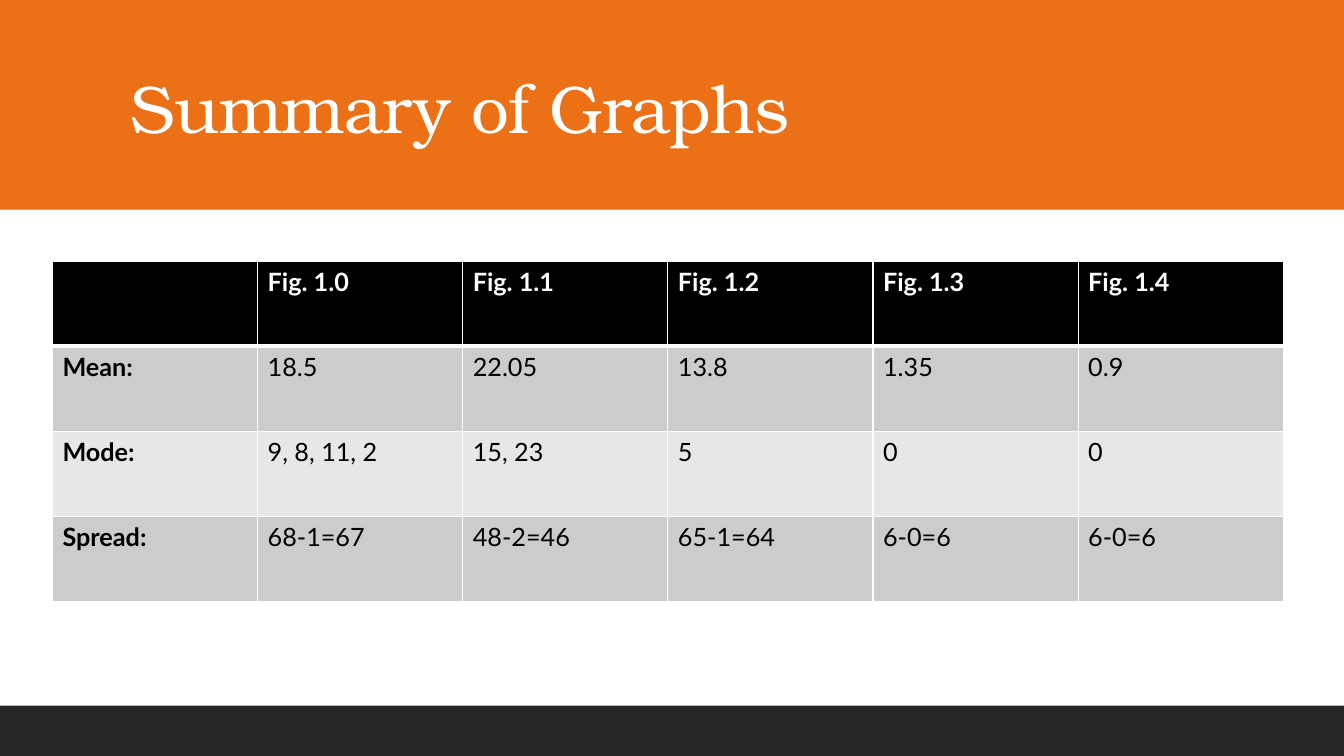
"""Build the Summary of Graphs slide with its table of statistics."""
import pptx
import pptx.dml.color
import pptx.enum.shapes
import pptx.enum.text
import pptx.oxml
import pptx.oxml.ns
import pptx.util

Inches = pptx.util.Inches
Pt = pptx.util.Pt
RGBColor = pptx.dml.color.RGBColor

TITLE = "Summary of Graphs"
ROWS = [
    ("", "Fig. 1.0", "Fig. 1.1", "Fig. 1.2", "Fig. 1.3", "Fig. 1.4"),
    ("Mean:", "18.5", "22.05", "13.8", "1.35", "0.9"),
    ("Mode:", "9, 8, 11, 2", "15, 23", "5", "0", "0"),
    ("Spread:", "68-1=67", "48-2=46", "65-1=64", "6-0=6", "6-0=6"),
]

WHITE = RGBColor(0xFF, 0xFF, 0xFF)
BLACK = RGBColor(0x00, 0x00, 0x00)
ORANGE = RGBColor(0xEC, 0x70, 0x16)
CHARCOAL = RGBColor(0x26, 0x26, 0x26)
BAND_DARK = RGBColor(0xCC, 0xCC, 0xCC)
BAND_LIGHT = RGBColor(0xE7, 0xE7, 0xE7)

TITLE_FONT = "TeX Gyre Bonum"
TABLE_FONT = "Lato"
SLIDE_WIDTH, SLIDE_HEIGHT = 13.33, 7.5
BANDS = [(0, 2.08, ORANGE), (7, 0.5, CHARCOAL)]
TABLE_LEFT, TABLE_TOP, TABLE_WIDTH, TABLE_HEIGHT = 0.52, 2.59, 12.21, 3.38


def add_band(slide, top, height, color):
    shape = slide.shapes.add_shape(
        pptx.enum.shapes.MSO_SHAPE.RECTANGLE,
        0, Inches(top), Inches(SLIDE_WIDTH), Inches(height))
    shape.shadow.inherit = False
    shape.fill.solid()
    shape.fill.fore_color.rgb = color
    shape.line.fill.background()


def style_run(run, font_name, size, color, bold=False):
    run.font.name = font_name
    run.font.size = Pt(size)
    run.font.color.rgb = color
    run.font.bold = bold


def add_title(slide):
    box = slide.shapes.add_textbox(Inches(1.2), Inches(0.31), Inches(11), Inches(1.59))
    text_frame = box.text_frame
    text_frame.word_wrap = True
    text_frame.vertical_anchor = pptx.enum.text.MSO_ANCHOR.MIDDLE
    text_frame.text = TITLE
    paragraph = text_frame.paragraphs[0]
    paragraph.line_spacing = 0.9
    run = paragraph.runs[0]
    style_run(run, TITLE_FONT, 48, WHITE)
    run.font._element.set("spc", "-50")


def set_borders(cell, top, bottom):
    properties = cell._tc.get_or_add_tcPr()
    widths = {"lnL": 1, "lnR": 1, "lnT": top, "lnB": bottom}
    for position, (side, width) in enumerate(widths.items()):
        border = pptx.oxml.parse_xml(
            f'<a:{side} {pptx.oxml.ns.nsdecls("a")} w="{Pt(width)}">'
            f'<a:solidFill><a:srgbClr val="{WHITE}"/></a:solidFill></a:{side}>')
        properties.insert(position, border)


def add_summary_table(slide):
    table = slide.shapes.add_table(
        len(ROWS), len(ROWS[0]), Inches(TABLE_LEFT), Inches(TABLE_TOP),
        Inches(TABLE_WIDTH), Inches(TABLE_HEIGHT)).table
    for row_index, row in enumerate(ROWS):
        is_header = row_index == 0
        band = BAND_DARK if row_index % 2 else BAND_LIGHT
        for column_index, text in enumerate(row):
            cell = table.cell(row_index, column_index)
            cell.fill.solid()
            cell.fill.fore_color.rgb = BLACK if is_header else band
            set_borders(cell, 3 if row_index == 1 else 1, 3 if is_header else 1)
            cell.text_frame.text = text
            for run in cell.text_frame.paragraphs[0].runs:
                style_run(run, TABLE_FONT, 18, WHITE if is_header else BLACK,
                          is_header or column_index == 0)


def main():
    presentation = pptx.Presentation()
    presentation.slide_width = Inches(SLIDE_WIDTH)
    presentation.slide_height = Inches(SLIDE_HEIGHT)
    slide = presentation.slides.add_slide(presentation.slide_layouts[6])
    slide.background.fill.solid()
    slide.background.fill.fore_color.rgb = WHITE
    for top, height, color in BANDS:
        add_band(slide, top, height, color)
    add_title(slide)
    add_summary_table(slide)
    presentation.save("out.pptx")


if __name__ == "__main__":
    main()
